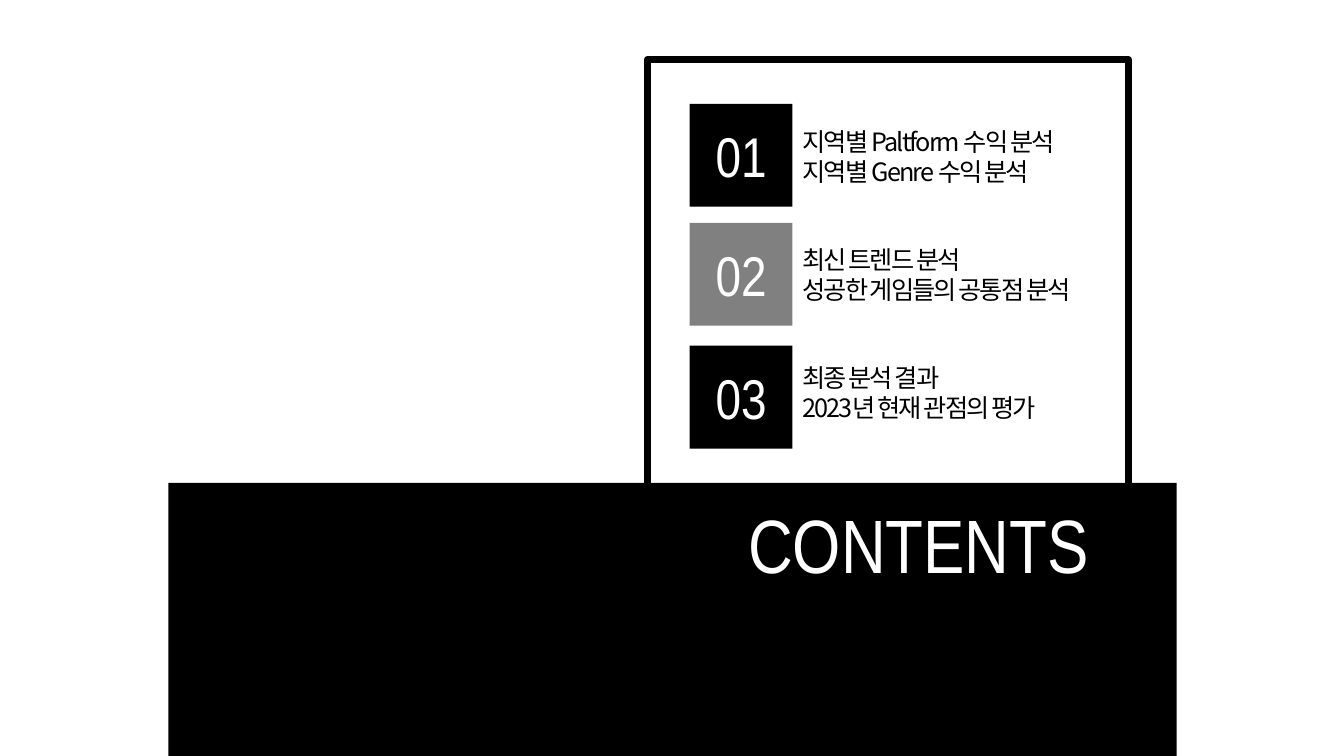
import pptx
import pptx.dml.color
import pptx.enum.shapes
import pptx.enum.text
import pptx.oxml.ns
import pptx.util
from lxml import etree

Inches = pptx.util.Inches
Pt = pptx.util.Pt
RGBColor = pptx.dml.color.RGBColor
ALIGN = pptx.enum.text.PP_ALIGN
ANCHOR = pptx.enum.text.MSO_ANCHOR
qn = pptx.oxml.ns.qn

BLACK = RGBColor(0x00, 0x00, 0x00)
GRAY = RGBColor(0x80, 0x80, 0x80)
WHITE = RGBColor(0xFF, 0xFF, 0xFF)
HEAD_FONT = "Arial Narrow"
BODY_FONT = "Noto Sans CJK KR"

ITEMS = [
    ("01", 1.03, BLACK, ["지역별 Paltform 수익 분석", "지역별 Genre 수익 분석"]),
    ("02", 2.21, GRAY, ["최신 트렌드 분석", "성공한 게임들의 공통점 분석"]),
    ("03", 3.43, BLACK, ["최종 분석 결과", "2023년 현재 관점의 평가"]),
]


def place(sp, left, top, width, height):
    """Move a shape to a box given in inches."""
    sp.left, sp.top = Inches(left), Inches(top)
    sp.width, sp.height = Inches(width), Inches(height)


def style(p, size, name, color, align=ALIGN.LEFT):
    """Format a whole paragraph."""
    p.alignment = align
    p.space_before = Pt(0)
    p.font.size, p.font.name, p.font.bold = Pt(size), name, False
    p.font.color.rgb = color


def add_rect(s, left, top, width, height, fill=None):
    """Add a rectangle without shadow, outlined in black if it has no fill."""
    sp = s.shapes.add_shape(pptx.enum.shapes.MSO_SHAPE.RECTANGLE, Inches(left),
                            Inches(top), Inches(width), Inches(height))
    sp.shadow.inherit = False
    if fill is None:
        sp.fill.background()
        sp.line.color.rgb = BLACK
        sp.line.width = Pt(5)
    else:
        sp.fill.solid()
        sp.fill.fore_color.rgb = fill
        sp.line.fill.background()
    return sp


def add_title(s, text, left, top, width, height):
    """Set the slide title in front of the band."""
    sp = s.shapes.title
    place(sp, left, top, width, height)
    tf = sp.text_frame
    tf.text = text
    tf.auto_size = pptx.enum.text.MSO_AUTO_SIZE.NONE
    tf.vertical_anchor = ANCHOR.TOP
    style(tf.paragraphs[0], 54, HEAD_FONT, WHITE)
    s.shapes.element.append(sp.element)


def add_number(s, text, fill, left, top, side):
    """Add a numbered square."""
    tf = add_rect(s, left, top, side, side, fill).text_frame
    tf.text = text
    tf.vertical_anchor = ANCHOR.MIDDLE
    style(tf.paragraphs[0], 40, HEAD_FONT, WHITE, ALIGN.CENTER)


def fill_list(sp, lines, left, top, width, height):
    """Fill a body placeholder with tightly spaced lines without bullets."""
    place(sp, left, top, width, height)
    tf = sp.text_frame
    tf.text = "\n".join(lines)
    tf.auto_size = pptx.enum.text.MSO_AUTO_SIZE.NONE
    tf.vertical_anchor = ANCHOR.TOP
    for p in tf.paragraphs:
        style(p, 18, BODY_FONT, BLACK)
        pPr = p._p.get_or_add_pPr()
        pPr.set("marL", "0")
        pPr.set("indent", "0")
        rPr = pPr.find(qn("a:defRPr"))
        rPr.addprevious(etree.Element(qn("a:buNone")))
        rPr.set("spc", "-140")
        latin = rPr.find(qn("a:latin"))
        latin.addnext(etree.Element(qn("a:ea"), typeface=BODY_FONT))


def add_contents(s, left, top, width, height):
    """Add the framed list of numbered contents."""
    add_rect(s, left, top, width, height)
    bodies = [sp for sp in s.placeholders if sp.placeholder_format.idx in (1, 2, 3, 4)]
    for i, (number, y, fill, lines) in enumerate(ITEMS):
        add_number(s, number, fill, left + 0.42, y, 1.02)
        fill_list(bodies[i], lines, left + 1.44, top + 0.61 + 1.17 * i, 3.17, 0.71)
    spare = bodies[-1].element
    spare.getparent().remove(spare)


def main():
    """Build the contents slide."""
    prs = pptx.Presentation()
    prs.slide_width, prs.slide_height = Inches(13.33), Inches(7.5)
    s = prs.slides.add_slide(prs.slide_layouts.get_by_name("Comparison"))
    add_rect(s, 1.67, 4.79, 10, 2.71, BLACK)
    add_contents(s, 6.42, 0.59, 4.77, 5.92)
    add_title(s, "CONTENTS", 7.32, 4.89, 4.24, 1.01)
    prs.save("out.pptx")


if __name__ == "__main__":
    main()
